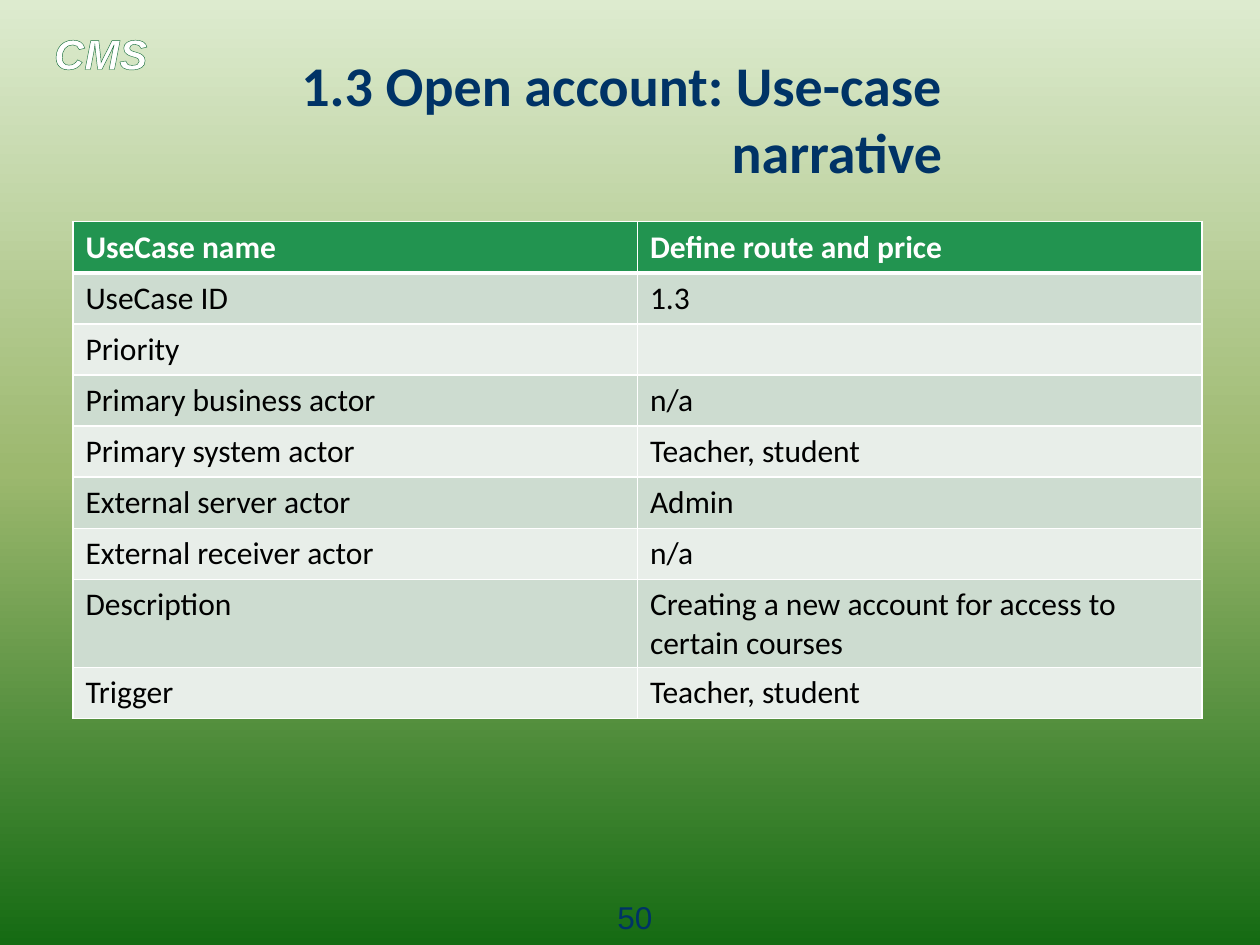
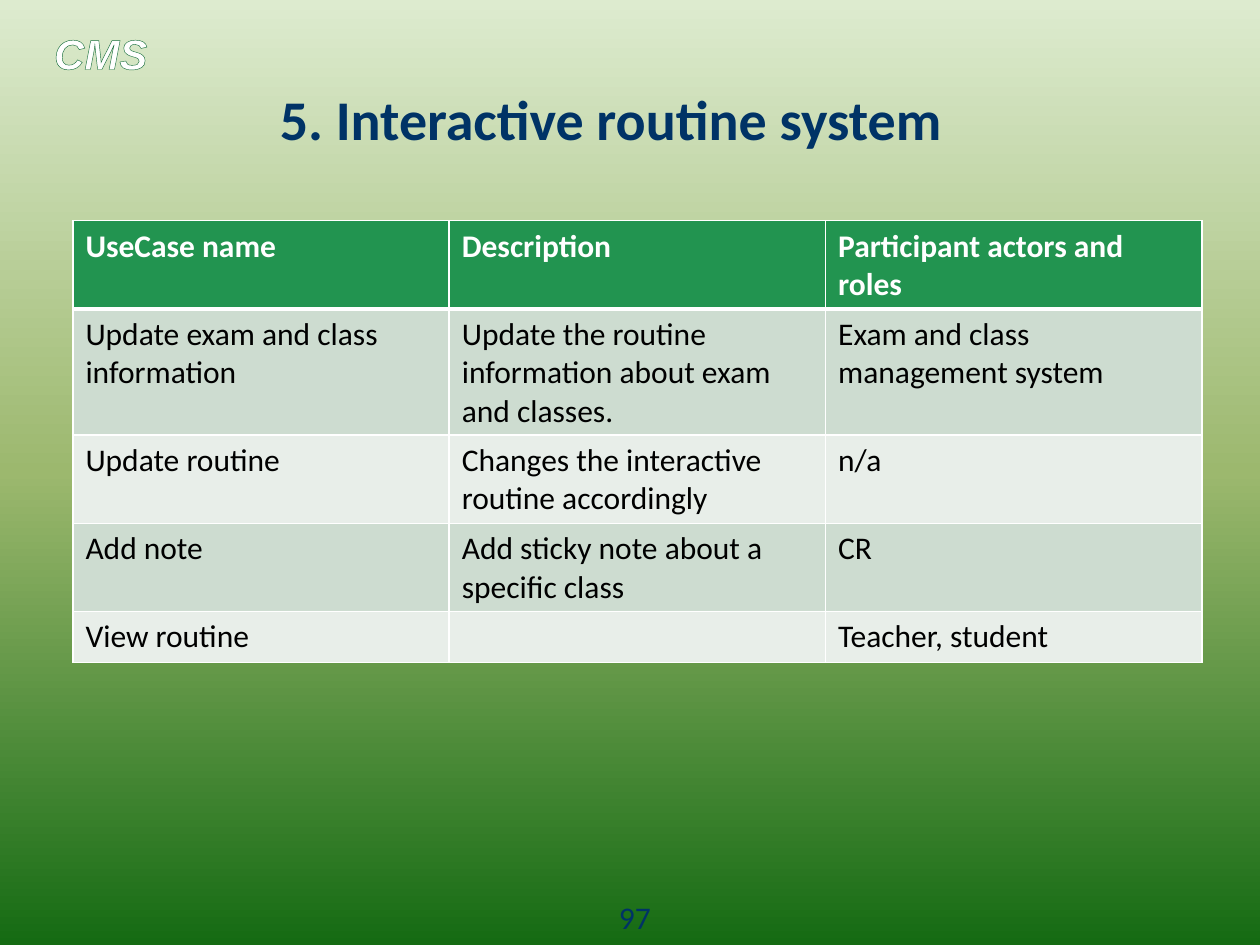
import copy

import pptx
import pptx.util
import pptx.dml.color
import pptx.enum.text
import pptx.oxml
import pptx.oxml.ns
from lxml import etree

SLIDES = [
    {
        "title": "1.3 Open account: Use-case narrative",
        "number": "50",
        "number_font": "Arial",
        "table_top": 4.47,
        "rows": [
            ("UseCase name", "Define route and price"),
            ("UseCase ID", "1.3"),
            ("Priority", ""),
            ("Primary business actor", "n/a"),
            ("Primary system actor", "Teacher, student"),
            ("External server actor", "Admin"),
            ("External receiver actor", "n/a"),
            ("Description", "Creating a new account for access to certain courses"),
            ("Trigger", "Teacher, student"),
        ],
    },
    {
        "title": "5. Interactive routine system",
        "number": "97",
        "number_font": "Calibri",
        "table_top": 4.45,
        "rows": [
            ("UseCase name", "Description", "Participant actors and roles"),
            ("Update exam and class information",
             "Update the routine information about exam and classes.",
             "Exam and class management system"),
            ("Update routine", "Changes the interactive routine accordingly", "n/a"),
            ("Add note", "Add sticky note about a specific class", "CR"),
            ("View routine", "", "Teacher, student"),
        ],
    },
]

COLORS = {
    "navy": "003366", "white": "FFFFFF", "black": "000000", "outline": "196F3C",
    "header": "229450", "odd": "CDDCD0", "even": "E8EEE9",
}
GRADIENT = [(0, "DDEBCF"), (0.5, "9CB86E"), (1, "156B13")]
LEFT, TABLE_WIDTH, ROW_HEIGHT = 1.47, 22.76, 1.03

Cm, Pt = pptx.util.Cm, pptx.util.Pt
PP_ALIGN = pptx.enum.text.PP_ALIGN
qn = pptx.oxml.ns.qn


def rgb(value):
    return pptx.dml.color.RGBColor.from_string(value)


def place(shape, left, top, width, height):
    shape.left, shape.top = Cm(left), Cm(top)
    shape.width, shape.height = Cm(width), Cm(height)


def write(tf, text, size, color, font="Calibri", bold=False, align=None):
    tf.text = text
    p = tf.paragraphs[0]
    p.alignment = align
    for r in p.runs:
        r.font.name, r.font.size, r.font.bold = font, Pt(size), bold
        r.font.color.rgb = rgb(COLORS[color])
    return p


def line_xml(tag, points, color):
    ln = pptx.oxml.parse_xml(
        f'<a:{tag} {pptx.oxml.ns.nsdecls("a")} w="{Pt(points)}"/>')
    fill = etree.SubElement(ln, qn("a:solidFill"))
    etree.SubElement(fill, qn("a:srgbClr")).set("val", COLORS[color])
    return ln


def set_background(master):
    fill = master.background.fill
    fill.gradient()
    fill.gradient_angle = 270
    stops = master.element.find(".//" + qn("a:gsLst"))
    stops.insert(1, copy.deepcopy(stops[0]))
    for stop, (position, color) in zip(fill.gradient_stops, GRADIENT):
        stop.position = position
        stop.color.rgb = rgb(color)


def add_text(s, box, *args, **kwargs):
    tf = s.shapes.add_textbox(*map(Cm, box)).text_frame
    tf.word_wrap = True
    return write(tf, *args, **kwargs)


def add_frame(s, title, number, number_font):
    place(s.shapes.title, LEFT, 1.7, 17.78, 1.35)
    tf = s.shapes.title.text_frame
    tf.auto_size = pptx.enum.text.MSO_AUTO_SIZE.NONE
    tf.vertical_anchor = pptx.enum.text.MSO_ANCHOR.MIDDLE
    write(tf, title, 32, "navy", bold=True, align=PP_ALIGN.RIGHT)

    p = add_text(s, (0.84, 0.43, 3.81, 1.27), "CMS", 24, "white", "Arial", True)
    r = p.runs[0]
    r.font.italic = True
    r.font._element.insert(0, line_xml("ln", 1, "outline"))

    add_text(s, (11.63, 17.98, 2.34, 0.74), number, 18, "navy", number_font,
             align=PP_ALIGN.CENTER)


def set_borders(cell, row):
    tcPr = cell._tc.get_or_add_tcPr()
    widths = {"lnL": 1, "lnR": 1, "lnT": 3 if row == 1 else 1, "lnB": 3 if row == 0 else 1}
    for i, (tag, points) in enumerate(widths.items()):
        tcPr.insert(i, line_xml(tag, points, "white"))


def add_use_cases(s, rows, top):
    columns = len(rows[0])
    table = s.shapes.add_table(
        len(rows), columns, Cm(LEFT), Cm(top),
        Cm(TABLE_WIDTH), Cm(ROW_HEIGHT * len(rows))).table
    for column in table.columns:
        column.width = Cm(TABLE_WIDTH / columns)
    for i, texts in enumerate(rows):
        table.rows[i].height = Cm(ROW_HEIGHT)
        band = "header" if i == 0 else "odd" if i % 2 else "even"
        for j, text in enumerate(texts):
            cell = table.cell(i, j)
            write(cell.text_frame, text, 18, "black" if i else "white", bold=i == 0)
            cell.fill.solid()
            cell.fill.fore_color.rgb = rgb(COLORS[band])
            set_borders(cell, i)


def main():
    prs = pptx.Presentation()
    prs.slide_width, prs.slide_height = Cm(25.4), Cm(19.05)
    set_background(prs.slide_master)
    for content in SLIDES:
        s = prs.slides.add_slide(prs.slide_layouts[5])
        add_frame(s, content["title"], content["number"], content["number_font"])
        add_use_cases(s, content["rows"], content["table_top"])
    prs.save("out.pptx")


if __name__ == "__main__":
    main()
